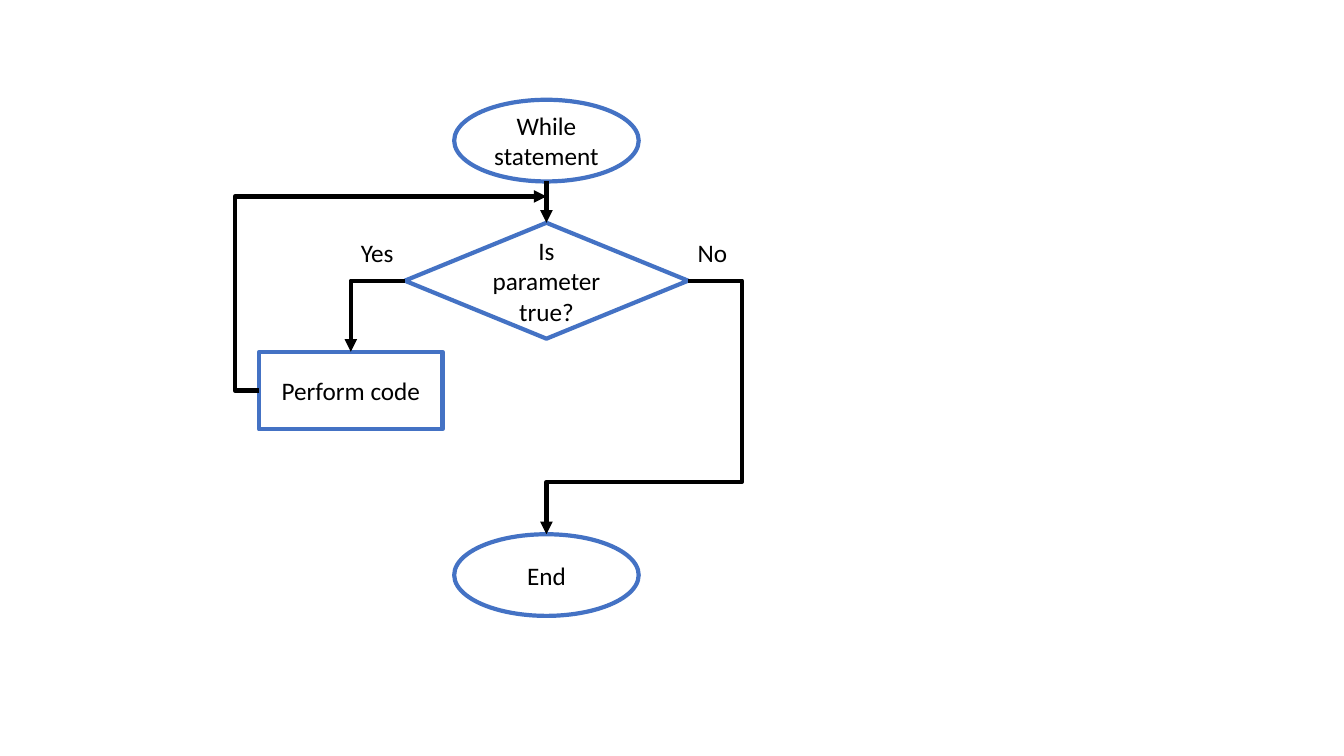
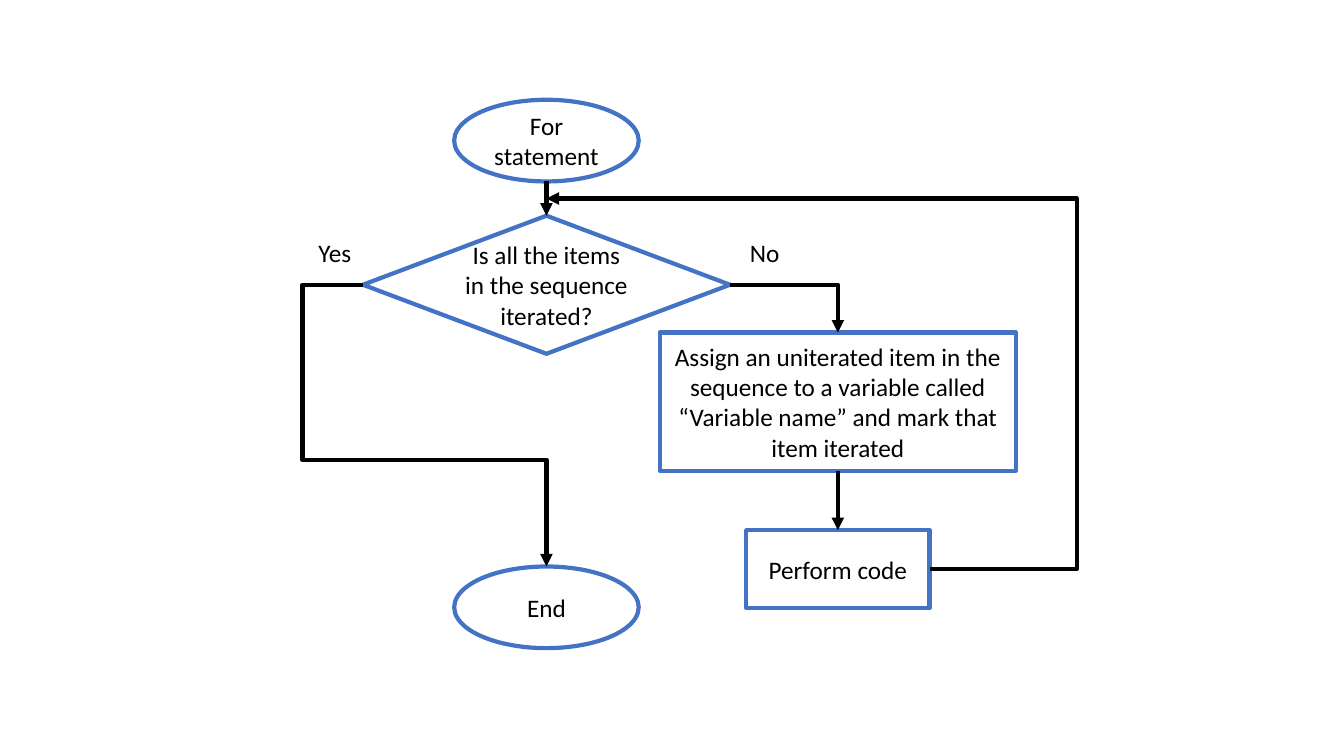
from lxml.etree import SubElement
from pptx import Presentation
from pptx.dml.color import RGBColor as Rgb
from pptx.enum.shapes import MSO_CONNECTOR as Conn, MSO_SHAPE as Kind
from pptx.enum.text import MSO_ANCHOR as Anchor, MSO_AUTO_SIZE as Fit, PP_ALIGN as Align
from pptx.oxml.ns import qn
from pptx.util import Inches, Pt

HUES = {"edge": "4472C4", "ink": "000000"}
FONT = "Calibri"
MID = 5.42
TOP, LEFT, BASE, RIGHT = range(4)


def write(frame, text, size=18, hue="ink", align=Align.LEFT, anchor=Anchor.TOP):
    """Put formatted text in a frame."""
    frame.word_wrap = True
    frame.vertical_anchor = anchor
    para = frame.paragraphs[0]
    para.alignment = align
    run = para.add_run()
    run.text = text
    run.font.name = FONT
    run.font.size = Pt(size)
    run.font.color.rgb = Rgb.from_string(HUES[hue])


def pen(line, hue):
    """Set the shared line weight and a colour."""
    line.color.rgb = Rgb.from_string(HUES[hue])
    line.width = Pt(3)


def node(slide, kind, text, mid, top, wide, high):
    """Add an outlined flowchart node centred on mid."""
    shape = slide.shapes.add_shape(kind, Inches(mid - wide / 2), Inches(top),
                                   Inches(wide), Inches(high))
    shape.shadow.inherit = False
    shape.fill.background()
    pen(shape.line, "edge")
    write(shape.text_frame, text, align=Align.CENTER, anchor=Anchor.MIDDLE)
    return shape


def oval(slide, text, top):
    """Add a start or end node."""
    return node(slide, Kind.OVAL, text, MID, top, 1.83, 0.81)


def code(slide, mid, top):
    """Add the node that runs the loop body."""
    return node(slide, Kind.RECTANGLE, "Perform code", mid, top, 1.82, 0.77)


def label(slide, text, left):
    """Add a branch label."""
    box = slide.shapes.add_textbox(Inches(left), Inches(2.31), Inches(0.63), Inches(0.4))
    write(box.text_frame, text)
    box.text_frame.auto_size = Fit.SHAPE_TO_FIT_TEXT


def spot(shape, side):
    """Return the middle of one side of a shape."""
    x = shape.left + {LEFT: 0, RIGHT: shape.width}.get(side, shape.width // 2)
    y = shape.top + {TOP: 0, BASE: shape.height}.get(side, shape.height // 2)
    return x, y


def arrow(slide, start, end, form="line", bends=()):
    """Add an arrow between two points, bent at the given x and y."""
    kind = Conn.ELBOW if form != "line" else Conn.STRAIGHT
    link = slide.shapes.add_connector(kind, *start, *end)
    pen(link.line, "ink")
    props = link._element.spPr
    SubElement(link.line._get_or_add_ln(), qn("a:tailEnd"), type="triangle")
    SubElement(props, qn("a:effectLst"))
    geom = props.find(qn("a:prstGeom"))
    geom.set("prst", form)
    guides = geom.find(qn("a:avLst"))
    for i, (bend, a, b) in enumerate(zip(bends, start, end), 1):
        part = round((Inches(bend) - a) / (b - a) * 100000)
        SubElement(guides, qn("a:gd"), name=f"adj{i}", fmla=f"val {part}")
    return link


def join(slide, first, side, last, form="line", bends=()):
    """Glue an arrow from a side of one node to the top of the next."""
    link = arrow(slide, spot(first, side), spot(last, TOP), form, bends)
    if first.auto_shape_type != Kind.OVAL:
        link.begin_connect(first, side)
    link.end_connect(last, TOP)


def loop(slide, body, side, bend, high):
    """Lead an arrow from the loop body back to the main line."""
    link = arrow(slide, spot(body, side), (Inches(MID), Inches(high)),
                 "bentConnector3", (bend,))
    link.begin_connect(body, side)


def draw_while(slide):
    """Draw the while loop."""
    start = oval(slide, "While statement", 0.99)
    test = node(slide, Kind.FLOWCHART_DECISION, "Is parameter true?", MID, 2.21, 2.81, 1.15)
    body = code(slide, 3.48, 3.49)
    end = oval(slide, "End", 5.3)
    label(slide, "Yes", 3.48)
    label(slide, "No", 6.82)
    join(slide, start, BASE, test)
    join(slide, test, LEFT, body, "bentConnector2")
    join(slide, test, RIGHT, end, "bentConnector4", (7.36, 4.78))
    loop(slide, body, LEFT, 2.33, 1.95)


def draw_for(slide):
    """Draw the for loop."""
    start = oval(slide, "For statement", 0.99)
    test = node(slide, Kind.FLOWCHART_DECISION,
                "Is all the items in the sequence iterated?", MID, 2.14, 3.64, 1.37)
    item = node(slide, Kind.RECTANGLE,
                "Assign an uniterated item in the sequence to a variable called "
                "“Variable name” and mark that item iterated", 8.31, 3.3, 3.53, 1.37)
    body = code(slide, 8.31, 5.26)
    end = oval(slide, "End", 5.62)
    label(slide, "Yes", 3.06)
    label(slide, "No", 7.34)
    join(slide, start, BASE, test)
    join(slide, test, LEFT, end, "bentConnector4", (3, 4.56))
    join(slide, test, RIGHT, item, "bentConnector2")
    join(slide, item, BASE, body)
    loop(slide, body, RIGHT, 10.68, 1.97)


def main():
    """Build and save both slides."""
    deck = Presentation()
    deck.slide_width, deck.slide_height = Inches(13.33), Inches(7.5)
    for draw in (draw_while, draw_for):
        draw(deck.slides.add_slide(deck.slide_layouts[6]))
    deck.save("out.pptx")


main()
